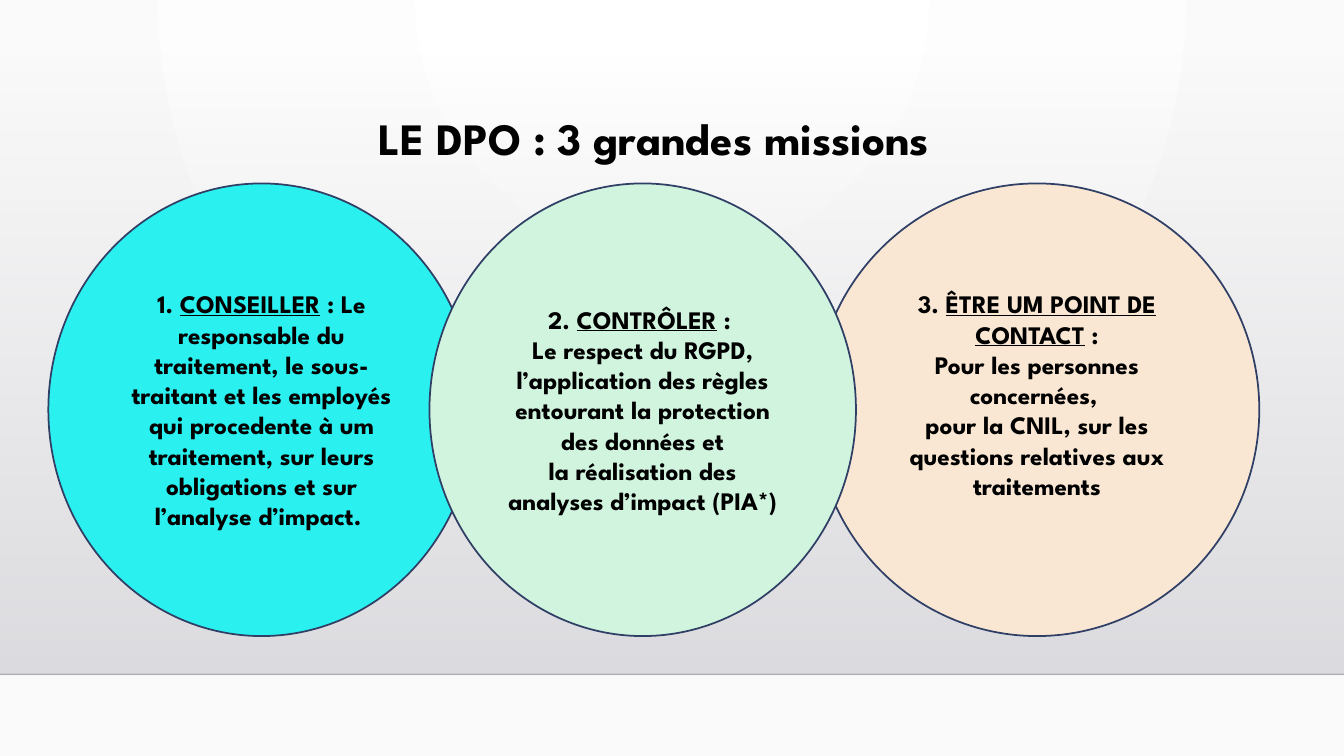
from dataclasses import dataclass

from lxml.etree import SubElement
from pptx import Presentation
from pptx.dml.color import RGBColor as RGB
from pptx.enum.shapes import MSO_CONNECTOR as CONNECTOR, MSO_SHAPE as SHAPE
from pptx.enum.text import MSO_ANCHOR as ANCHOR, PP_ALIGN as ALIGN
from pptx.oxml.ns import qn
from pptx.util import Inches, Pt


@dataclass(frozen=True)
class Theme:
    font: str = "League Spartan"
    title_size: int = 32
    body_size: int = 18
    text: str = "000000"
    outline: str = "303F65"
    floor: str = "000001"
    backdrop: tuple = ("FFFFFF", "FAFAFA")
    shade: tuple = ("DCDCE0", "DEDEE2")
    advise: str = "2AF1F0"
    control: str = "D1F4DF"
    contact: str = "F9E7D3"


theme = Theme()


def apply_gradient(fill, colours):
    fill.gradient()
    for stop, colour in zip(fill.gradient_stops, colours):
        stop.color.rgb = RGB.from_string(colour)


def add_run(paragraph, text, size, underline=False):
    run = paragraph.add_run()
    run.text = text
    run.font.name = theme.font
    run.font.size = Pt(size)
    run.font.bold = True
    run.font.underline = underline
    run.font.color.rgb = RGB.from_string(theme.text)


deck = Presentation()
deck.slide_width, deck.slide_height = Inches(13.33), Inches(7.5)
slide = deck.slides.add_slide(deck.slide_layouts[6])

apply_gradient(slide.background.fill, theme.backdrop)
radial = slide.element.find(".//" + qn("a:gradFill"))
radial.remove(radial.find(qn("a:lin")))
circle_path = SubElement(radial, qn("a:path"), path="circle")
SubElement(circle_path, qn("a:fillToRect"), l="43000", t="0", r="43000", b="100000")

shade = slide.shapes.add_shape(SHAPE.RECTANGLE, 0, Inches(0.51), Inches(13.33), Inches(6.18))
shade.shadow.inherit = False
shade.line.fill.background()
apply_gradient(shade.fill, theme.shade)
shade.fill.gradient_angle = 270
SubElement(shade.element.find(".//" + qn("a:srgbClr")), qn("a:alpha"), val="0")

floor = slide.shapes.add_connector(
    CONNECTOR.STRAIGHT, 0, Inches(6.69), Inches(13.33), Inches(6.69))
floor.line.width = Pt(1)
floor.line.color.rgb = RGB.from_string(theme.floor)
SubElement(floor.element.find(".//" + qn("a:srgbClr")), qn("a:alpha"), val="20000")
SubElement(floor.element.spPr, qn("a:effectLst"))

title = slide.shapes.add_textbox(Inches(1.24), Inches(1.04), Inches(10.5), Inches(0.71))
title.text_frame.word_wrap = True
title.text_frame.vertical_anchor = ANCHOR.MIDDLE
heading = title.text_frame.paragraphs[0]
heading.alignment = ALIGN.CENTER
heading.line_spacing = 0.9
add_run(heading, "LE DPO : 3 grandes missions", theme.title_size)

missions = [
    (0.48, 4.23, 0.05, theme.advise, "1. ", "CONSEILLER",
     [" : Le responsable du traitement, le sous-traitant et les employés qui procedente "
      "à um traitement, sur leurs obligations et sur l’analyse d’impact. "]),
    (8.08, 4.41, 0.35, theme.contact, "3. ", "ÊTRE UM POINT DE CONTACT",
     [" :", "Pour les personnes concernées, ",
      "pour la CNIL, sur les questions relatives aux traitements"]),
    (4.26, 4.23, 0.05, theme.control, "2. ", "CONTRÔLER",
     [" : ", "Le respect du RGPD,",
      "l’application des règles entourant la protection des données et",
      "la réalisation des analyses d’impact (PIA*)"]),
]

for left, width, bottom_inset, colour, number, role, details in missions:
    mission = slide.shapes.add_shape(
        SHAPE.OVAL, Inches(left), Inches(1.82), Inches(width), Inches(4.49))
    mission.shadow.inherit = False
    mission.fill.solid()
    mission.fill.fore_color.rgb = RGB.from_string(colour)
    mission.line.color.rgb = RGB.from_string(theme.outline)
    mission.line.width = Pt(1.25)
    frame = mission.text_frame
    frame.word_wrap = True
    frame.vertical_anchor = ANCHOR.MIDDLE
    frame.margin_bottom = Inches(bottom_inset)
    for index, detail in enumerate(details):
        paragraph = frame.add_paragraph() if index else frame.paragraphs[0]
        paragraph.alignment = ALIGN.CENTER
        if index == 0:
            add_run(paragraph, number, theme.body_size)
            add_run(paragraph, role, theme.body_size, underline=True)
        add_run(paragraph, detail, theme.body_size)

deck.save("out.pptx")
